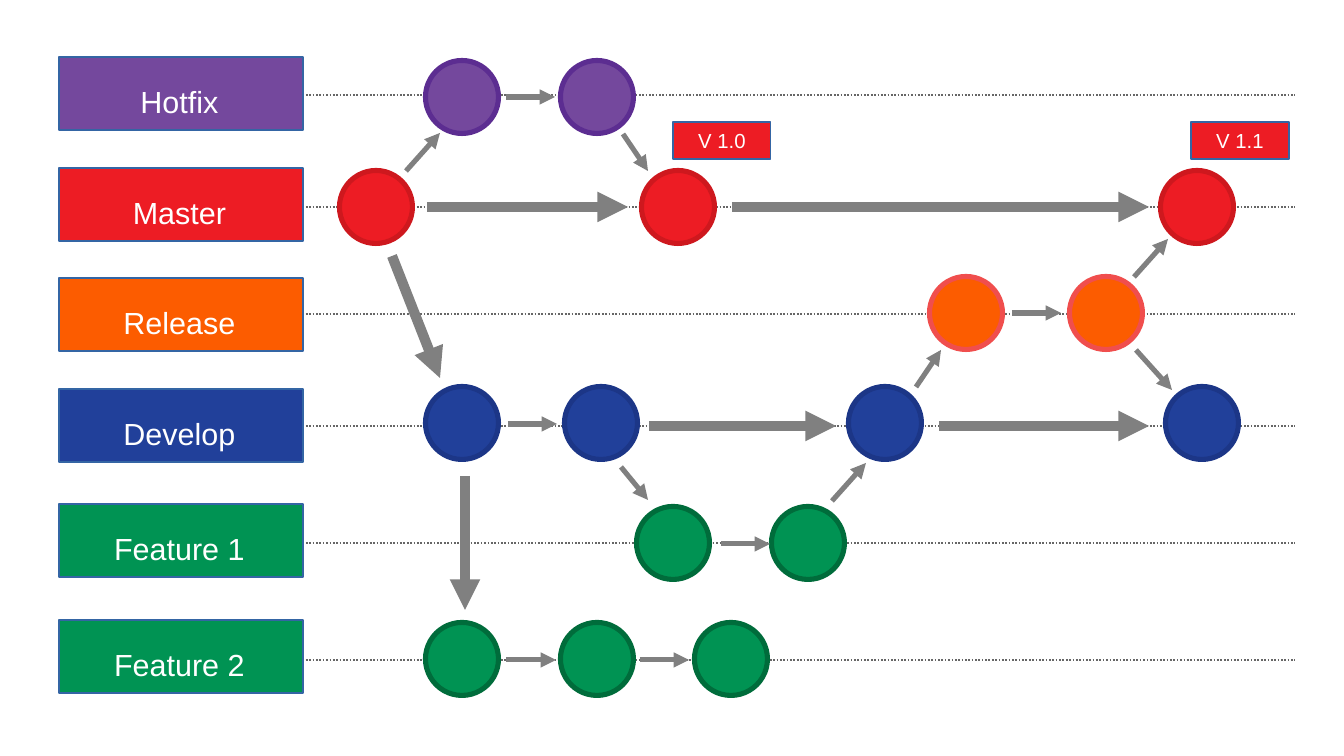
from pptx import Presentation
from pptx.dml.color import RGBColor
from pptx.enum.dml import MSO_LINE
from pptx.enum.shapes import MSO_CONNECTOR, MSO_SHAPE
from pptx.enum.text import MSO_ANCHOR, PP_ALIGN
from pptx.oxml.ns import qn
from pptx.util import Pt
from lxml.etree import SubElement

HUES = {
    "hotfix": "74489D", "hotfix rim": "5C2D91",
    "master": "ED1C24", "master rim": "CE181E",
    "release": "FC5C00", "release rim": "F04E4D",
    "develop": "21409A", "develop rim": "1C3687",
    "feature": "009353", "feature rim": "006C3B",
    "edge": "3465A4", "guide": "666666", "arrow": "808080", "text": "FFFFFF",
}

# name, hue, box top, guide y, dot y, dot centres
LANES = [
    ("Hotfix", "hotfix", 57, 95, 97, (462, 597)),
    ("Master", "master", 168, 207, 207, (376, 678, 1197)),
    ("Release", "release", 278, 314, 313, (966, 1106)),
    ("Develop", "develop", 389, 426, 423, (462, 601, 885, 1202)),
    ("Feature 1", "feature", 504, 543, 543, (673, 808)),
    ("Feature 2", "feature", 620, 660, 659, (462, 597, 731)),
]

BOLD = [
    (427, 207, 628, 207), (732, 207, 1149, 207),
    (392, 256, 440, 378), (465, 476, 465, 610),
    (649, 426, 836, 426), (939, 426, 1149, 426),
]

THIN = [
    (506, 97, 555, 97), (506, 660, 556, 660), (640, 660, 689, 660),
    (721, 544, 770, 544), (1012, 313, 1061, 313), (508, 424, 557, 424),
    (623, 134, 648, 171), (406, 171, 440, 133), (916, 387, 941, 350),
    (1134, 277, 1168, 239), (1136, 350, 1172, 390), (621, 467, 648, 500),
    (832, 501, 866, 463),
]

TAGS = [("V 1.0", 673), ("V 1.1", 1191)]

BOX_X, BOX_W, BOX_H = 59, 244, 73
TEXT_X, TEXT_DY, TEXT_W, TEXT_H = 88, 20, 183, 40
GUIDE = (306, 1295)
DOT = 73
TAG_Y, TAG_W, TAG_H = 122, 98, 37
SCALE = 7495


def px(*vals):
    return [round(v * SCALE) for v in vals]


def hue(key):
    return RGBColor.from_string(HUES[key])


def block(kind, area, fill, rim, width):
    shape = slide.shapes.add_shape(kind, *px(*area))
    shape.shadow.inherit = False
    shape.fill.solid()
    shape.fill.fore_color.rgb = hue(fill)
    shape.line.color.rgb = hue(rim)
    shape.line.width = Pt(width)
    return shape


def write(shape, text, size):
    para = shape.text_frame.paragraphs[0]
    para.alignment = PP_ALIGN.CENTER
    run = para.add_run()
    run.text = text
    run.font.name = "Arial"
    run.font.size = Pt(size)
    run.font.color.rgb = hue("text")


def link(ends, color, width):
    line = slide.shapes.add_connector(MSO_CONNECTOR.STRAIGHT, *px(*ends))
    line.line.color.rgb = hue(color)
    line.line.width = Pt(width)
    SubElement(line._element.spPr, qn("a:effectLst"))
    return line


def arrow(ends, width):
    line = link(ends, "arrow", width)
    SubElement(line.line._get_or_add_ln(), qn("a:tailEnd"), type="triangle")


deck = Presentation()
deck.slide_width, deck.slide_height = px(1344, 756)
slide = deck.slides.add_slide(deck.slide_layouts[6])

for name, tone, top, *rest in LANES:
    block(MSO_SHAPE.RECTANGLE, (BOX_X, top, BOX_W, BOX_H), tone, "edge", 0.75)
    label = slide.shapes.add_textbox(*px(TEXT_X, top + TEXT_DY, TEXT_W, TEXT_H))
    label.text_frame.word_wrap = True
    write(label, name, 18)

for name, tone, top, level, *rest in LANES:
    guide = link((GUIDE[0], level, GUIDE[1], level), "guide", 1)
    guide.line.dash_style = MSO_LINE.ROUND_DOT

for name, tone, top, level, mid, spots in LANES:
    for spot in spots:
        area = (spot - DOT / 2, mid - DOT / 2, DOT, DOT)
        block(MSO_SHAPE.OVAL, area, tone, tone + " rim", 3)

for width, group in ((6, BOLD), (3, THIN)):
    for ends in group:
        arrow(ends, width)

for text, left in TAGS:
    area = (left, TAG_Y, TAG_W, TAG_H)
    tag = block(MSO_SHAPE.RECTANGLE, area, "master", "edge", 0.75)
    tag.text_frame.word_wrap = False
    tag.text_frame.vertical_anchor = MSO_ANCHOR.MIDDLE
    write(tag, text, 12)

deck.save("out.pptx")
